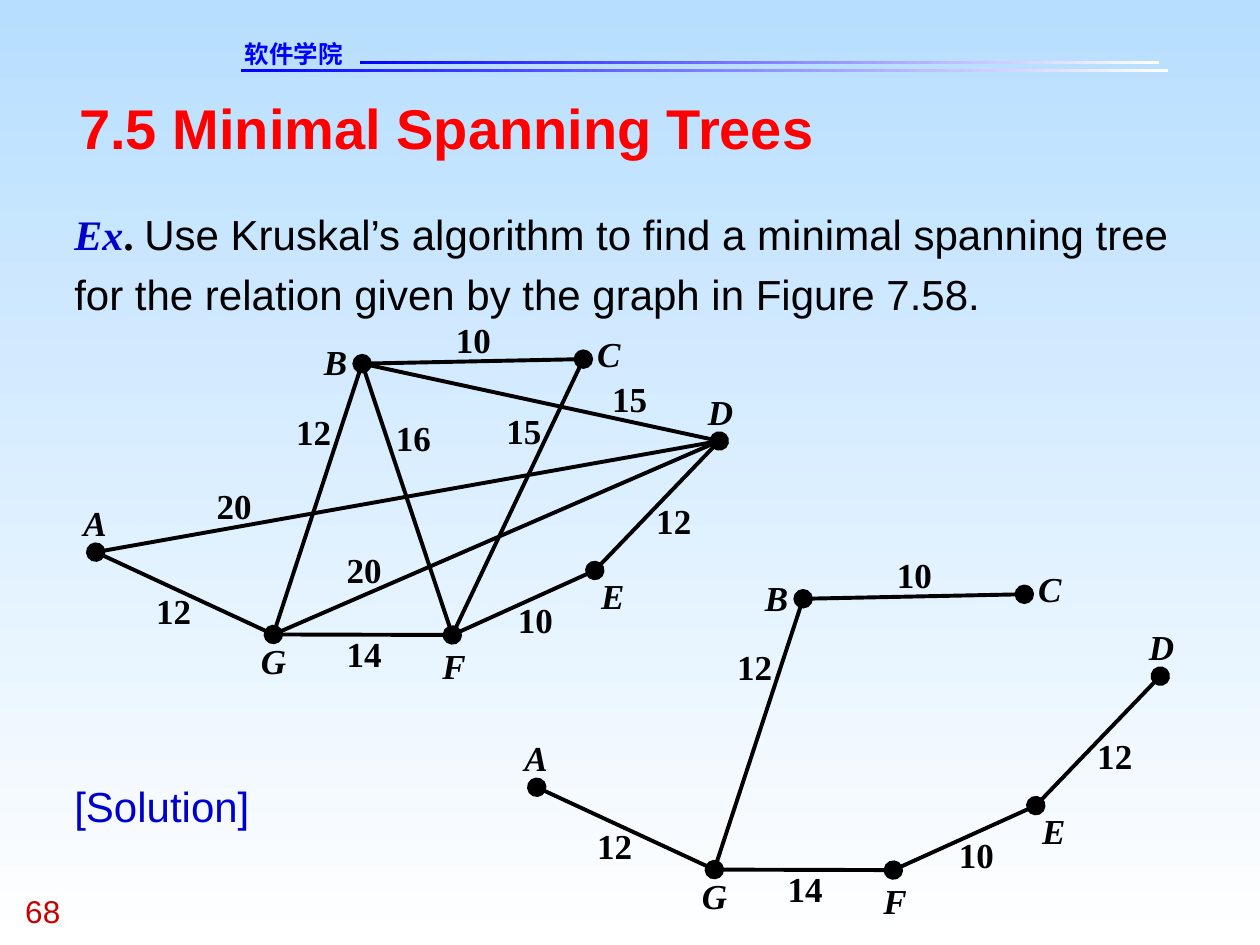
from lxml.etree import SubElement
from pptx import Presentation
from pptx.dml.color import RGBColor as RGB
from pptx.enum.shapes import MSO_CONNECTOR as LINK, MSO_SHAPE as SHAPE
from pptx.enum.text import MSO_ANCHOR as ANCHOR, PP_ALIGN as ALIGN
from pptx.oxml.ns import qn
from pptx.util import Cm, Pt

"""Slide on Kruskal's algorithm: a weighted graph and its minimal spanning tree."""

SERIF = "Times New Roman"
BLACK, BLUE, NAVY, WHITE = "000000", "0000FF", "0000CC", "FFFFFF"


def blend(fill, first, last, angle):
    fill.gradient()
    fill.gradient_angle = angle
    for stop, color in zip(fill.gradient_stops, (first, last)):
        stop.color.rgb = RGB.from_string(color)


def write(shapes, spot, size, *runs, wrap=True, anchor=ANCHOR.BOTTOM):
    frame = shapes.add_textbox(*map(Cm, spot)).text_frame
    frame.word_wrap = wrap
    frame.vertical_anchor = anchor
    frame.margin_left = frame.margin_right = 0
    frame.margin_top = frame.margin_bottom = 0
    para = frame.paragraphs[0]
    for words, face, color, bold, slant in runs:
        run = para.add_run()
        run.text = words
        font = run.font
        font.name, font.size = face, Pt(size)
        font.bold, font.italic = bold, slant
        font.color.rgb = RGB.from_string(color)
    return para


deck = Presentation()
deck.slide_width, deck.slide_height = Cm(25.4), Cm(19.05)
slide = deck.slides.add_slide(deck.slide_layouts[6])
blend(slide.background.fill, "B7DEFF", WHITE, 270)

for spot in ((4.85, 1.4, 18.69, 0.06), (7.26, 1.24, 16.1, 0.06)):
    bar = slide.shapes.add_shape(SHAPE.RECTANGLE, *map(Cm, spot))
    bar.shadow.inherit = False
    bar.line.fill.background()
    blend(bar.fill, BLUE, WHITE, 0)

school = write(slide.shapes, (4.93, 0.79, 3.68, 0.58), 14,
               ("软件学院", "DejaVu Sans", BLUE, True, False), anchor=ANCHOR.TOP)
props = school.runs[0].font._element
SubElement(props, qn("a:ea")).set("typeface", "DejaVu Sans")

write(slide.shapes, (0.51, 17.98, 1.9, 0.76), 18, ("68", "Arial", "CC0000", False, False))
write(slide.shapes, (1.6, 1.9, 22.22, 1.35), 32,
      ("7.5 Minimal Spanning Trees", "Arial", "FF0000", True, False))
task = write(slide.shapes, (1.5, 3.99, 22.73, 2.44), 24,
             ("Ex", SERIF, NAVY, True, True),
             (". ", SERIF, BLACK, True, False),
             ("Use Kruskal’s algorithm to find a minimal spanning tree "
              "for the relation given by the graph in Figure 7.58.",
              "Arial", BLACK, False, False))
answer = write(slide.shapes, (1.5, 15.54, 5.38, 1.22), 24,
               ("[Solution]", "Arial", NAVY, False, False))
task.line_spacing = answer.line_spacing = 1.2

# node: centre x, y, label x, y
nodes = {
    "A": (1.93, 11.13, 1.68, 10.11),
    "B": (7.3, 7.33, 6.53, 6.88),
    "C": (11.76, 7.24, 12.04, 6.71),
    "D": (14.5, 8.89, 14.27, 7.87),
    "E": (11.99, 11.5, 12.12, 11.58),
    "F": (9.12, 12.8, 8.92, 13),
    "G": (5.51, 12.79, 5.26, 12.9),
}
edges = (
    ("BG", "12", 5.97, 8.28, ()),
    ("FE", "10", 10.44, 12.07, ("headEnd", "tailEnd")),
    ("GF", "14", 6.99, 12.75, ()),
    ("AG", "12", 3.15, 11.89, ("headEnd", "tailEnd")),
    ("ED", "12", 13.23, 10.08, ("tailEnd",)),
    ("BC", "10", 9.19, 6.43, ("headEnd", "tailEnd")),
    ("DG", "20", 6.99, 11.07, ()),
    ("DA", "20", 4.37, 9.78, ()),
    ("BF", "16", 7.98, 8.41, ()),
    ("CF", "15", 10.21, 8.26, ()),
    ("BD", "15", 12.34, 7.62, ()),
)
group = slide.shapes.add_group_shape()
graphs = ((group.shapes, edges, 0, 0), (slide.shapes, edges[:6], 8.89, 4.74))

for shapes, links, dx, dy in graphs:
    labels = [(name, x, y, 0.48) for name, (_, _, x, y) in nodes.items()]
    for pair, weight, x, y, dots in links:
        labels.append((weight, x, y, 0.71))
        (x1, y1), (x2, y2) = (nodes[name][:2] for name in pair)
        line = shapes.add_connector(LINK.STRAIGHT, Cm(x1 + dx), Cm(y1 + dy),
                                    Cm(x2 + dx), Cm(y2 + dy))
        line.line.width = Pt(2.25)
        line.line.color.rgb = RGB.from_string(BLACK)
        props = line._element.spPr
        for end in dots:
            dot = SubElement(props.find(qn("a:ln")), qn(f"a:{end}"))
            for key, value in (("type", "oval"), ("w", "lg"), ("len", "lg")):
                dot.set(key, value)
        SubElement(props, qn("a:effectLst"))
    for words, x, y, width in labels:
        para = write(shapes, (x + dx, y + dy, width, 0.84), 20,
                     (words, SERIF, BLACK, True, words.isalpha()), wrap=False)
        para.alignment = ALIGN.JUSTIFY

deck.save("out.pptx")
